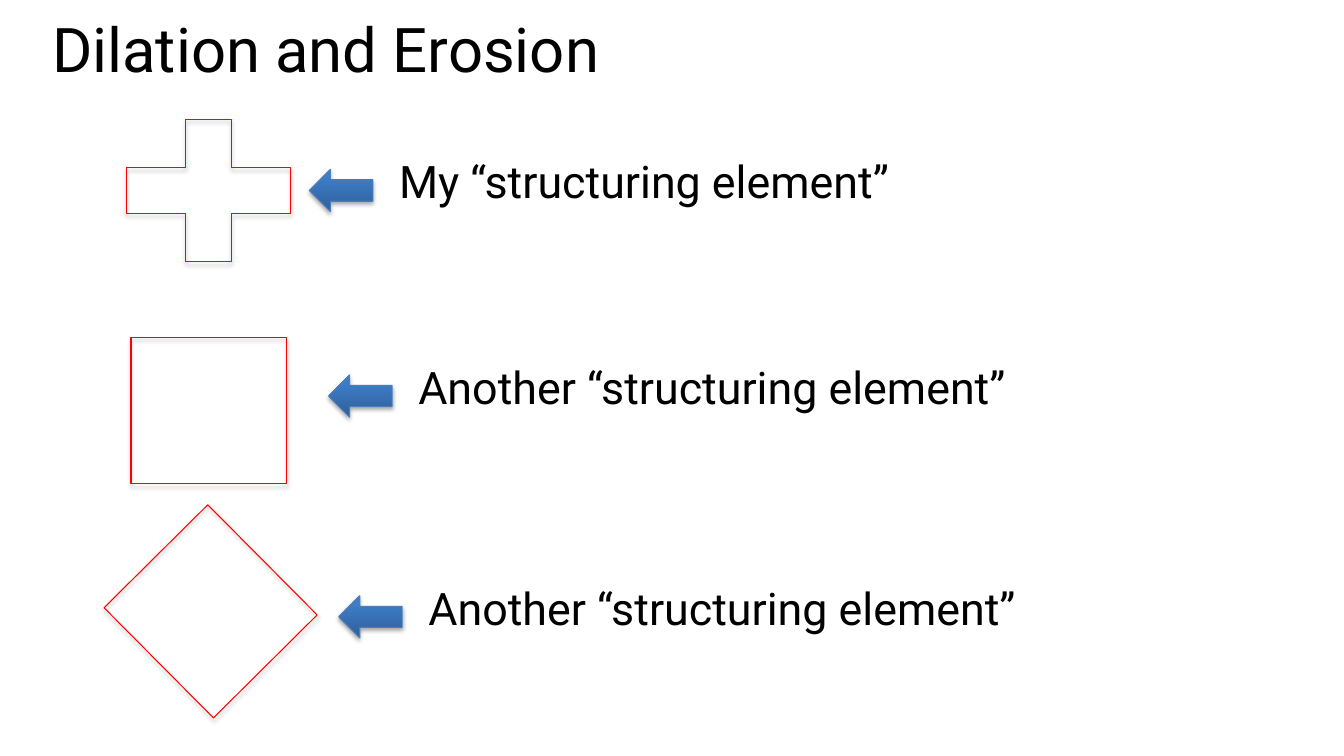
from copy import deepcopy

from lxml.etree import SubElement
from pptx import Presentation
from pptx.dml.color import RGBColor
from pptx.enum.shapes import MSO_SHAPE
from pptx.oxml.ns import qn
from pptx.util import Pt

# Content: element outline (kind, box, rotation), arrow corner and label
TITLE = "Dilation and Erosion"
ROWS = [
    {"label": "My “structuring element”", "arrow": (221, 121),
     "kind": MSO_SHAPE.MATH_PLUS, "box": (69.1, 67, 159.8, 138.2), "turn": 0},
    {"label": "Another “structuring element”", "arrow": (234.7, 267.8),
     "kind": MSO_SHAPE.RECTANGLE, "box": (93.6, 241.2, 110.9, 104.4), "turn": 0},
    {"label": "Another “structuring element”", "arrow": (241.9, 425.5),
     "kind": MSO_SHAPE.RECTANGLE, "box": (95, 384.5, 110.9, 104.4), "turn": 45.2},
]
COLOURS = {"text": "000000", "outline": "FF0000", "arrow_line": "4B7EBC",
           "shadow": "000000"}
ARROW_STOPS = [(0, "2F5F99"), (0.8, "3D7CC7"), (1, "3A7CCB")]
FONT = "Roboto"
ARROW_SIZE = (45.4, 30.2)
LABEL_OFFSET = (57, -14.5)
LABEL_SIZE = (449.3, 71.3)

deck = Presentation()
deck.slide_width, deck.slide_height = Pt(960), Pt(540)
page = deck.slides.add_slide(deck.slide_layouts[6])


def add_text(text, left, top, width, height, size, spacing=1.0):
    box = page.shapes.add_textbox(Pt(left), Pt(top), Pt(width), Pt(height))
    box.text_frame.word_wrap = True
    para = box.text_frame.paragraphs[0]
    para.text = text
    para.line_spacing = spacing
    para.font.name = FONT
    para.font.size = Pt(size)
    para.font.color.rgb = RGBColor.from_string(COLOURS["text"])


def add_figure(kind, left, top, width, height, line_colour):
    figure = page.shapes.add_shape(kind, Pt(left), Pt(top), Pt(width), Pt(height))
    figure.fill.background()
    figure.line.color.rgb = RGBColor.from_string(line_colour)
    figure.line.width = Pt(0.75)
    # Soft shadow straight below
    figure.shadow.inherit = False
    effects = figure.element.spPr.find(qn("a:effectLst"))
    shadow = SubElement(effects, qn("a:outerShdw"), blurRad=str(Pt(3.15)),
                        dist=str(Pt(1.8)), dir="5400000", rotWithShape="0")
    colour = SubElement(shadow, qn("a:srgbClr"), val=COLOURS["shadow"])
    SubElement(colour, qn("a:alpha"), val="35000")
    return figure


def fill_arrow(arrow):
    arrow.fill.gradient()
    arrow.fill.gradient_angle = 90
    stop_list = arrow.element.spPr.find(".//" + qn("a:gsLst"))
    stop_list.insert(1, deepcopy(stop_list[0]))
    for stop, (position, colour) in zip(arrow.fill.gradient_stops, ARROW_STOPS):
        stop.position = position
        stop.color.rgb = RGBColor.from_string(colour)


# Title
add_text(TITLE, 30.2, 14.4, 907.2, 83.5, 44, 0.8)

# Rows: label, arrow, structuring element
for row in ROWS:
    left, top = row["arrow"]
    add_text(row["label"], left + LABEL_OFFSET[0], top + LABEL_OFFSET[1],
             *LABEL_SIZE, 32)
    fill_arrow(add_figure(MSO_SHAPE.LEFT_ARROW, left, top, *ARROW_SIZE,
                          COLOURS["arrow_line"]))
    element = add_figure(row["kind"], *row["box"], COLOURS["outline"])
    element.rotation = row["turn"]

deck.save("out.pptx")
